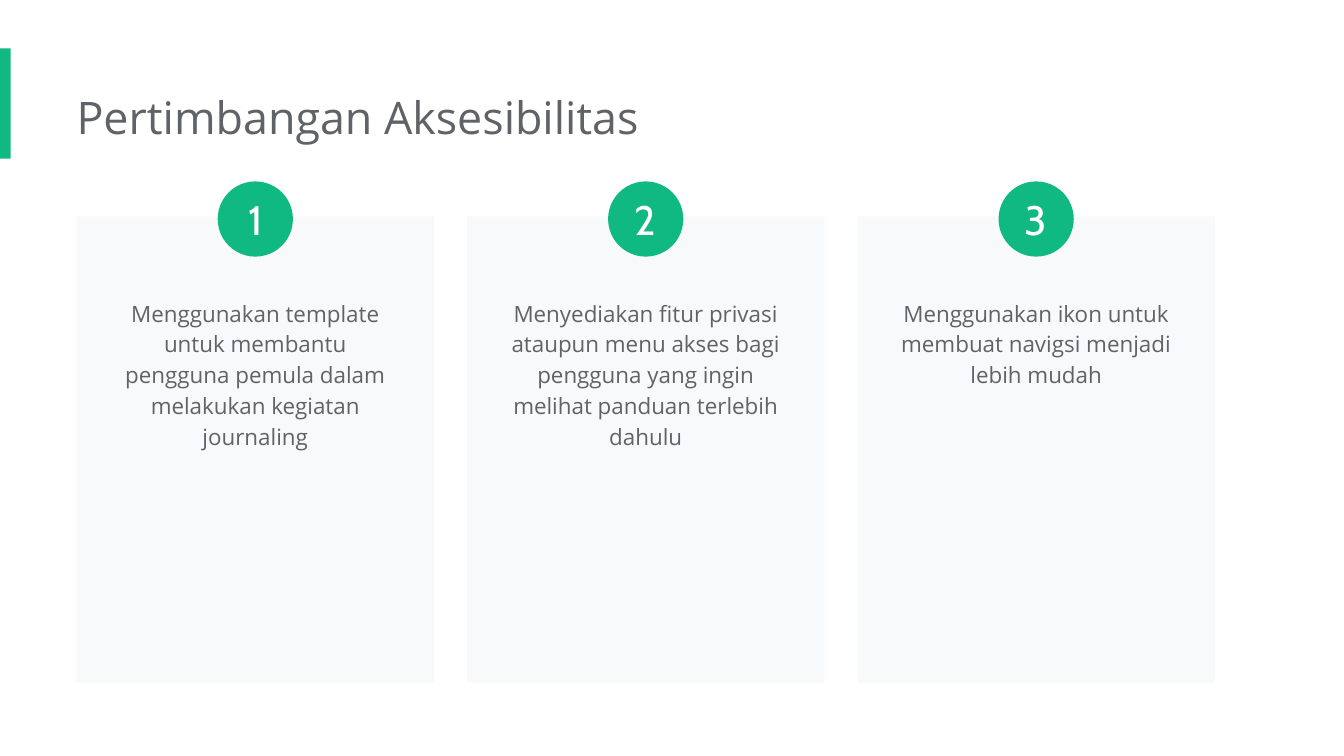
from dataclasses import dataclass

from pptx import Presentation
from pptx import util as u
from pptx.dml.color import RGBColor
from pptx.enum import shapes, text

TITLE = "Pertimbangan Aksesibilitas"
# Each consideration with the height of its text box
CONSIDERATIONS = [
    ("Menggunakan template untuk membantu pengguna pemula dalam "
     "melakukan kegiatan journaling", 1.36),
    ("Menyediakan fitur privasi ataupun menu akses bagi pengguna yang "
     "ingin melihat panduan terlebih dahulu", 1.6),
    ("Menggunakan ikon untuk membuat navigsi menjadi lebih mudah", 1.13),
]


@dataclass(frozen=True)
class Theme:
    accent: str = "10B981"
    card: str = "F8F9FA"
    ink: str = "5F6368"
    white: str = "FFFFFF"
    body_font: str = "Open Sans"
    number_font: str = "Cabin"
    title_size: int = 24
    body_size: int = 12
    number_size: int = 22


THEME = Theme()
PAGE_WIDTH = 10
PAGE_HEIGHT = PAGE_WIDTH * 9 / 16
LEFT, LAST_LEFT = 0.57, 6.38
CARD_TOP, CARD_WIDTH, CARD_HEIGHT = 1.61, 2.66, 3.47
CARD_STEP = (LAST_LEFT - LEFT) / (len(CONSIDERATIONS) - 1)
TEXT_TOP, TEXT_WIDTH = 2.1, 2.24
BADGE_TOP, BADGE_SIZE = 1.35, 0.56


def add_filled(page, kind, color, *bounds):
    shape = page.shapes.add_shape(kind, *map(u.Inches, bounds))
    shape.shadow.inherit = False
    shape.fill.solid()
    shape.fill.fore_color.rgb = RGBColor.from_string(color)
    shape.line.fill.background()
    return shape


def write(shape, words, font, size, color, insets, align=text.PP_ALIGN.CENTER,
          anchor=text.MSO_ANCHOR.TOP, spacing=None):
    """Fill a shape with one paragraph; insets run left, top, right, bottom."""
    frame = shape.text_frame
    frame.word_wrap = True
    frame.vertical_anchor = anchor
    (frame.margin_left, frame.margin_top,
     frame.margin_right, frame.margin_bottom) = map(u.Inches, insets)
    para = frame.paragraphs[0]
    para.alignment = align
    para.line_spacing = spacing
    span = para.add_run()
    span.text = words
    span.font.name = font
    span.font.size = u.Pt(size)
    span.font.color.rgb = RGBColor.from_string(color)


def add_growing_text(page, bounds, *content, **layout):
    box = page.shapes.add_textbox(*map(u.Inches, bounds))
    write(box, *content, **layout)
    box.text_frame.auto_size = text.MSO_AUTO_SIZE.SHAPE_TO_FIT_TEXT


def add_card(page, left, words, text_height):
    add_filled(page, shapes.MSO_SHAPE.RECTANGLE, THEME.card,
               left, CARD_TOP, CARD_WIDTH, CARD_HEIGHT)
    text_left = left + (CARD_WIDTH - TEXT_WIDTH) / 2
    add_growing_text(page, (text_left, TEXT_TOP, TEXT_WIDTH, text_height),
                     words, THEME.body_font, THEME.body_size, THEME.ink,
                     (0.1, 0.1, 0.1, 0.1), spacing=1.15)


def add_badge(page, card_left, number):
    badge = add_filled(page, shapes.MSO_SHAPE.OVAL, THEME.accent,
                       card_left + (CARD_WIDTH - BADGE_SIZE) / 2,
                       BADGE_TOP, BADGE_SIZE, BADGE_SIZE)
    write(badge, str(number), THEME.number_font, THEME.number_size,
          THEME.white, (0, 0, 0, 0), anchor=text.MSO_ANCHOR.MIDDLE)


def main():
    deck = Presentation()
    deck.slide_width = u.Inches(PAGE_WIDTH)
    deck.slide_height = u.Inches(PAGE_HEIGHT)
    page = deck.slides.add_slide(deck.slide_layouts[6])
    page.background.fill.solid()
    page.background.fill.fore_color.rgb = RGBColor.from_string(THEME.white)

    add_filled(page, shapes.MSO_SHAPE.RECTANGLE, THEME.accent,
               0, 0.36, 0.08, 0.82)
    add_growing_text(page, (LEFT, 0.57, 7.66, 0.61), TITLE, THEME.body_font,
                     THEME.title_size, THEME.ink, (0, 0.1, 0.1, 0.1),
                     align=text.PP_ALIGN.LEFT)

    card_lefts = [LEFT + i * CARD_STEP for i in range(len(CONSIDERATIONS))]
    for left, (words, text_height) in zip(card_lefts, CONSIDERATIONS):
        add_card(page, left, words, text_height)
    for number, left in enumerate(card_lefts, start=1):
        add_badge(page, left, number)

    deck.save("out.pptx")


if __name__ == "__main__":
    main()
